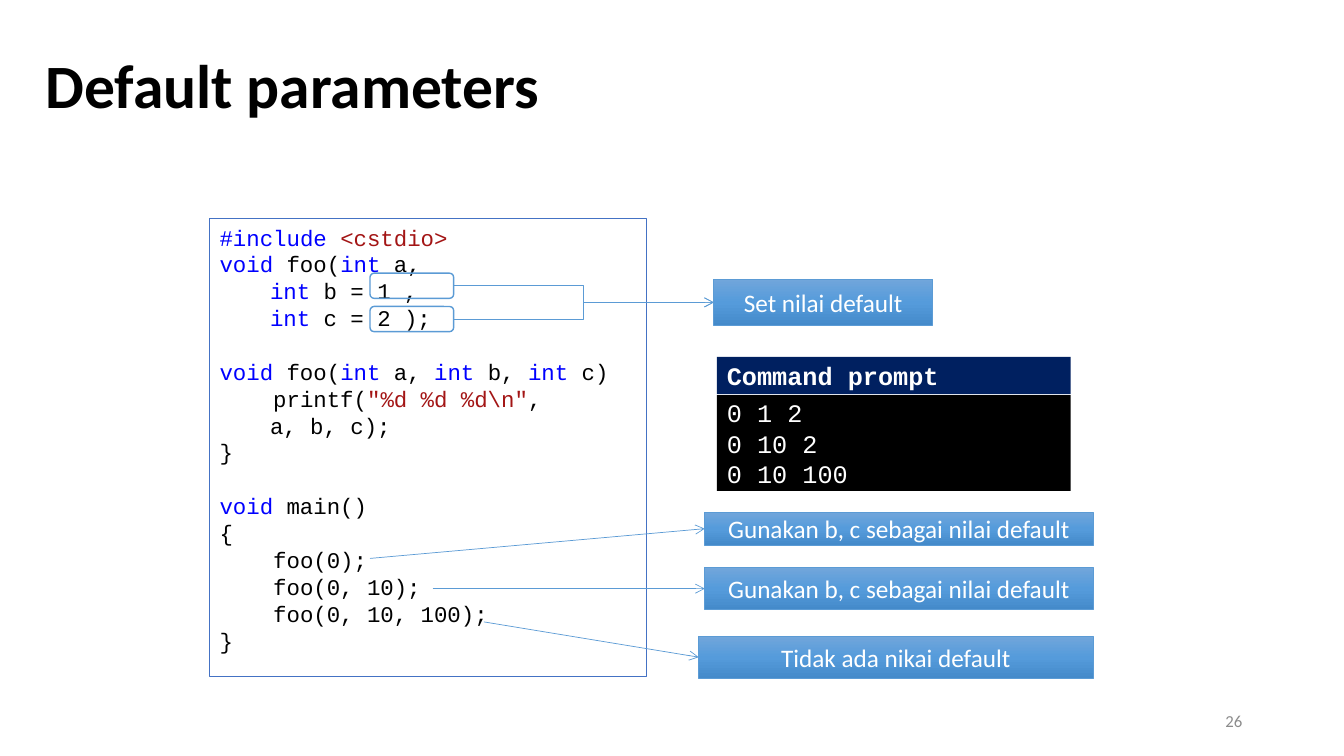
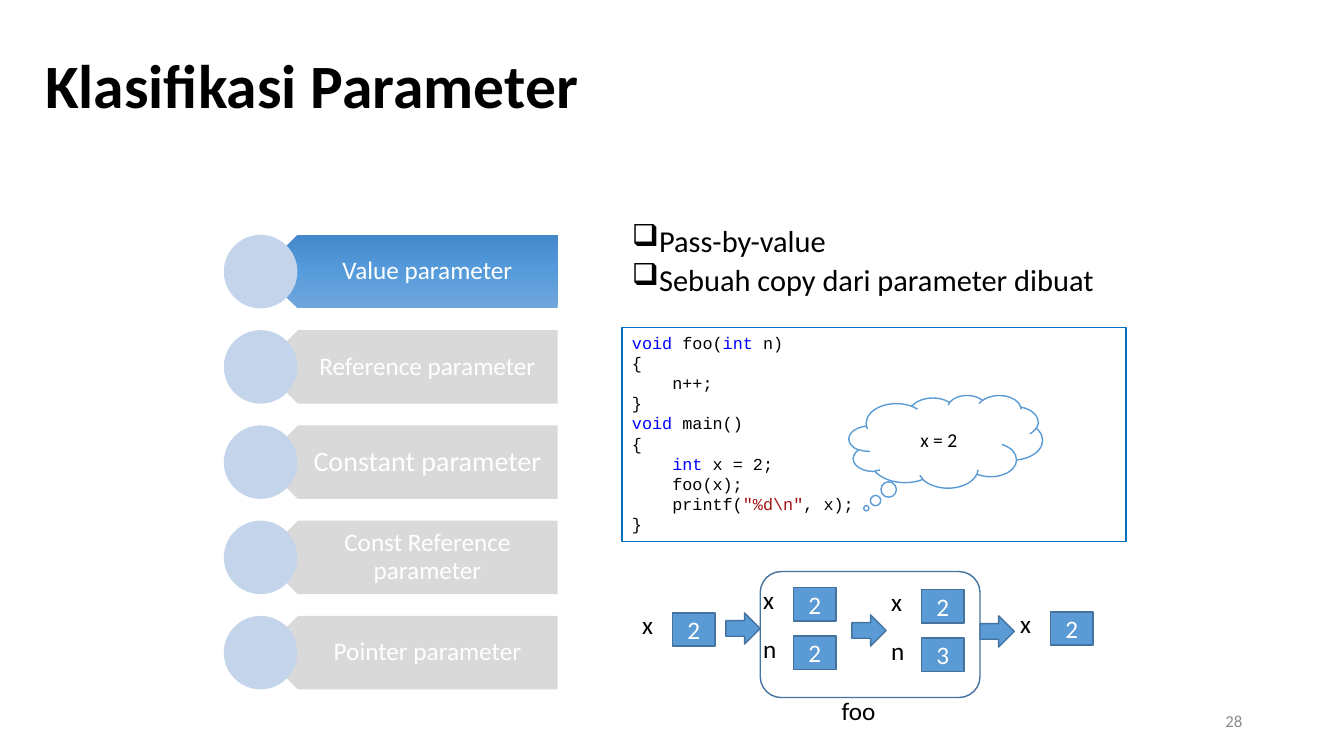
from copy import deepcopy
from itertools import groupby
from typing import NamedTuple

from lxml.etree import SubElement
from pptx import Presentation
from pptx.dml.color import RGBColor
from pptx.enum.shapes import MSO_CONNECTOR, MSO_SHAPE
from pptx.enum.text import MSO_ANCHOR, PP_ALIGN
from pptx.oxml.ns import qn
from pptx.util import Inches, Pt

# Shared look
BODY_FONT, CODE_FONT = "Calibri", "Courier New"
BLACK, WHITE, GREY = "000000", "FFFFFF", "8C8C8C"
BLUE, DARK_BLUE = "5B9BD5", "43739E"
KEYWORD, LITERAL = "0000FF", "A31515"
GRADIENT = ("71A6DB", "559BDB", "448ACA")
KEYWORDS = {"void", "int"}
INSETS = (0.1, 0.05, 0.1, 0.05)


class Area(NamedTuple):
    left: float
    top: float
    width: float
    height: float


class Span(NamedTuple):
    text: str
    color: str


class Call(NamedTuple):
    text: str
    area: Area
    start: tuple[float, float]


class Parameter(NamedTuple):
    text: str
    fill: str | tuple = "D9D9D9"
    size: float = 18


class Variable(NamedTuple):
    name: str
    value: str
    left: float
    top: float


def rgb(color: str) -> RGBColor:
    return RGBColor.from_string(color)


# Text
def code_spans(line: str) -> list[Span]:
    """Split a line of code into coloured spans."""
    if line.startswith("#include"):
        directive, header = line.split(" ")
        return [Span(directive + " ", KEYWORD), Span(header, LITERAL)]
    spans = []
    for index, part in enumerate(line.split('"')):
        if index % 2:
            spans.append(Span(f'"{part}"', LITERAL))
            continue
        for _, letters in groupby(part, str.isalpha):
            word = "".join(letters)
            spans.append(Span(word, KEYWORD if word in KEYWORDS else BLACK))
    return spans


def write_text(shape, text: str, *, size=18.0, color=WHITE, font=BODY_FONT, bold=False,
               align=PP_ALIGN.CENTER, anchor=MSO_ANCHOR.MIDDLE, insets=INSETS,
               wrap=True, code=False, line_spacing=None, space_before=0.0, bullet=None):
    frame = shape.text_frame
    frame.word_wrap = wrap
    frame.vertical_anchor = anchor
    (frame.margin_left, frame.margin_top,
     frame.margin_right, frame.margin_bottom) = map(Inches, insets)
    for index, line in enumerate(text.splitlines()):
        para = frame.add_paragraph() if index else frame.paragraphs[0]
        para.alignment = align
        if line_spacing:
            para.line_spacing = line_spacing
        if index and space_before:
            para.space_before = Pt(space_before)
        if bullet:
            properties = para._p.get_or_add_pPr()
            properties.set("marL", str(Inches(0.25)))
            properties.set("indent", str(-Inches(0.25)))
            SubElement(properties, qn("a:buChar"), char=bullet)
        if not line:
            SubElement(para._p, qn("a:endParaRPr"), sz=str(round(size * 100)))
        for part in code_spans(line) if code else [Span(line, color)]:
            if part.text:
                span = para.add_run()
                span.text = part.text
                span.font.name = font
                span.font.size = Pt(size)
                span.font.bold = bold
                span.font.color.rgb = rgb(part.color)


def add_text(page, area: Area, text: str, **text_format):
    box = page.shapes.add_textbox(*map(Inches, area))
    write_text(box, text, **{"color": BLACK, "align": PP_ALIGN.LEFT, **text_format})
    return box


# Shapes and lines
def paint_gradient(shape, colors: tuple):
    shape.fill.gradient()
    shape.fill.gradient_angle = 270
    stop_list = shape._element.spPr.find(".//" + qn("a:gsLst"))
    stop_list.insert(1, deepcopy(stop_list[0]))
    for index, (stop, color) in enumerate(zip(shape.fill.gradient_stops, colors)):
        stop.position = index / (len(colors) - 1)
        stop.color.rgb = rgb(color)


def add_box(page, kind, area: Area, *, fill=None, line=None, line_width=1.0,
            text="", **text_format):
    shape = page.shapes.add_shape(kind, *map(Inches, area))
    shape.shadow.inherit = False
    if fill is None:
        shape.fill.background()
    elif isinstance(fill, tuple):
        paint_gradient(shape, fill)
    else:
        shape.fill.solid()
        shape.fill.fore_color.rgb = rgb(fill)
    if line:
        shape.line.color.rgb = rgb(line)
        shape.line.width = Pt(line_width)
    else:
        shape.line.fill.background()
    if text:
        write_text(shape, text, **text_format)
    return shape


def add_code(page, area: Area, text: str, *, size: float, line: str):
    add_box(page, MSO_SHAPE.RECTANGLE, area, line=line, text=text, size=size,
            font=CODE_FONT, code=True, align=PP_ALIGN.LEFT, anchor=MSO_ANCHOR.TOP)


def add_note(page, area: Area, text: str):
    return add_box(page, MSO_SHAPE.RECTANGLE, area, fill=GRADIENT, line=BLUE,
                   line_width=0.5, text=text)


def add_arrow(page, kind, target, *, source=None, start=(0.0, 0.0)):
    """Draw an arrow to the left side of target, from a box or a point."""
    x, y = map(Inches, start)
    arrow = page.shapes.add_connector(kind, x, y, x, y)
    if source is not None:
        arrow.begin_connect(source, 3)
    arrow.end_connect(target, 1)
    arrow.line.color.rgb = rgb(BLUE)
    arrow.line.width = Pt(0.5)
    SubElement(arrow.line._get_or_add_ln(), qn("a:tailEnd"), type="arrow")
    SubElement(arrow._element.spPr, qn("a:effectLst"))


def add_page(deck, title: str, number: int):
    page = deck.slides.add_slide(deck.slide_layouts[6])
    add_text(page, Area(0.35, 0.15, 10.98, 1.45), title, size=44, bold=True,
             line_spacing=0.9)
    add_text(page, Area(9.42, 6.95, 3, 0.4), str(number), size=12, color=GREY,
             align=PP_ALIGN.RIGHT)
    return page


# Default parameters
DEFAULTS_CODE = r"""#include <cstdio>
void foo(int a,
{tab}int b = 1 ,
{tab}int c = 2 );

void foo(int a, int b, int c)
    printf("%d %d %d\n",
{tab}a, b, c);
}

void main()
{
    foo(0);
    foo(0, 10);
    foo(0, 10, 100);
}""".replace("{tab}", "\t")

CALLS = [
    Call("Gunakan b, c sebagai nilai default", Area(6.99, 5.08, 3.85, 0.33), (3.67, 5.54)),
    Call("Gunakan b, c sebagai nilai default", Area(6.99, 5.63, 3.85, 0.42), (4.29, 5.84)),
    Call("Tidak ada nikai default", Area(6.93, 6.31, 3.91, 0.42), (4.8, 6.17)),
]


def build_defaults(deck):
    page = add_page(deck, "Default parameters", 26)
    add_code(page, Area(2.08, 2.17, 4.33, 4.54), DEFAULTS_CODE, size=16, line="4472C4")

    # Default values
    note = add_note(page, Area(7.08, 2.77, 2.17, 0.46), "Set nilai default")
    for top in (2.71, 3.04):
        frame = add_box(page, MSO_SHAPE.ROUNDED_RECTANGLE, Area(3.67, top, 0.83, 0.25),
                        line=BLUE)
        add_arrow(page, MSO_CONNECTOR.ELBOW, note, source=frame)

    # Calls
    for call in CALLS:
        note = add_note(page, call.area, call.text)
        add_arrow(page, MSO_CONNECTOR.STRAIGHT, note, start=call.start)

    # Console
    add_box(page, MSO_SHAPE.RECTANGLE, Area(7.11, 3.92, 3.51, 0.95), fill=BLACK,
            text="0 1 2\n0 10 2\n0 10 100", font=CODE_FONT, align=PP_ALIGN.LEFT)
    add_box(page, MSO_SHAPE.RECTANGLE, Area(7.11, 3.54, 3.51, 0.37), fill="002060",
            text="Command prompt", font=CODE_FONT, bold=True, align=PP_ALIGN.LEFT)


# Parameter classes
VALUE_CODE = r"""void foo(int n)
{
    n++;
}
void main()
{
    int x = 2;
    foo(x);
    printf("%d\n", x);
}"""

PARAMETERS = [
    Parameter("Value parameter", fill=GRADIENT),
    Parameter("Reference parameter"),
    Parameter("Constant parameter", size=20),
    Parameter("Const Reference parameter"),
    Parameter("Pointer parameter"),
]

VARIABLES = [
    Variable("x", "2", 6.67, 6.08),
    Variable("x", "2", 7.87, 5.83),
    Variable("n", "2", 7.87, 6.31),
    Variable("x", "2", 9.14, 5.85),
    Variable("n", "3", 9.14, 6.33),
    Variable("x", "2", 10.42, 6.07),
]


def build_classes(deck):
    page = add_page(deck, "Klasifikasi Parameter", 28)
    add_text(page, Area(6.17, 2.25, 5, 1),
             "Pass-by-value\nSebuah copy dari parameter dibuat", size=21.7,
             anchor=MSO_ANCHOR.TOP, line_spacing=0.7, space_before=10, bullet="❑")

    # List of classes
    for row, parameter in enumerate(PARAMETERS):
        top = 2.33 + row * 0.945
        banner = add_box(page, MSO_SHAPE.PENTAGON, Area(2.59, top, 2.94, 0.73),
                         fill=parameter.fill)
        banner.rotation = 180
        add_text(page, Area(2.77, top, 2.76, 0.73), parameter.text, size=parameter.size,
                 color=WHITE, align=PP_ALIGN.CENTER, line_spacing=0.9,
                 insets=(0.32, 0.07, 0.14, 0.07))
        add_box(page, MSO_SHAPE.OVAL, Area(2.22, top, 0.73, 0.73), fill="C4D5EB")

    # Code and thought
    add_code(page, Area(6.17, 3.25, 5, 2.12), VALUE_CODE, size=12, line="0070C0")
    cloud = add_box(page, MSO_SHAPE.CLOUD_CALLOUT, Area(8.42, 3.92, 1.92, 0.92),
                    fill=WHITE, line=BLUE, text="x = 2", size=14, color=BLACK)
    cloud.adjustments[0], cloud.adjustments[1] = -0.41, 0.72

    # Memory before, during and after the call
    add_box(page, MSO_SHAPE.ROUNDED_RECTANGLE, Area(7.54, 5.67, 2.18, 1.25), line=DARK_BLUE)
    for name, value, left, top in VARIABLES:
        add_box(page, MSO_SHAPE.RECTANGLE, Area(left, top, 0.42, 0.33), fill=BLUE,
                line=DARK_BLUE, text=value)
        add_text(page, Area(left - 0.4, top - 0.08, 0.32, 0.4), name, wrap=False,
                 anchor=MSO_ANCHOR.TOP)
    for left, top in ((7.2, 6.08), (8.45, 6.1), (9.72, 6.11)):
        add_box(page, MSO_SHAPE.RIGHT_ARROW, Area(left, top, 0.34, 0.31), fill=BLUE,
                line=DARK_BLUE)
    add_text(page, Area(8.25, 6.85, 0.54, 0.4), "foo", wrap=False, anchor=MSO_ANCHOR.TOP)


def main():
    deck = Presentation()
    deck.slide_width, deck.slide_height = Inches(13.33), Inches(7.5)
    build_defaults(deck)
    build_classes(deck)
    deck.save("out.pptx")


if __name__ == "__main__":
    main()
